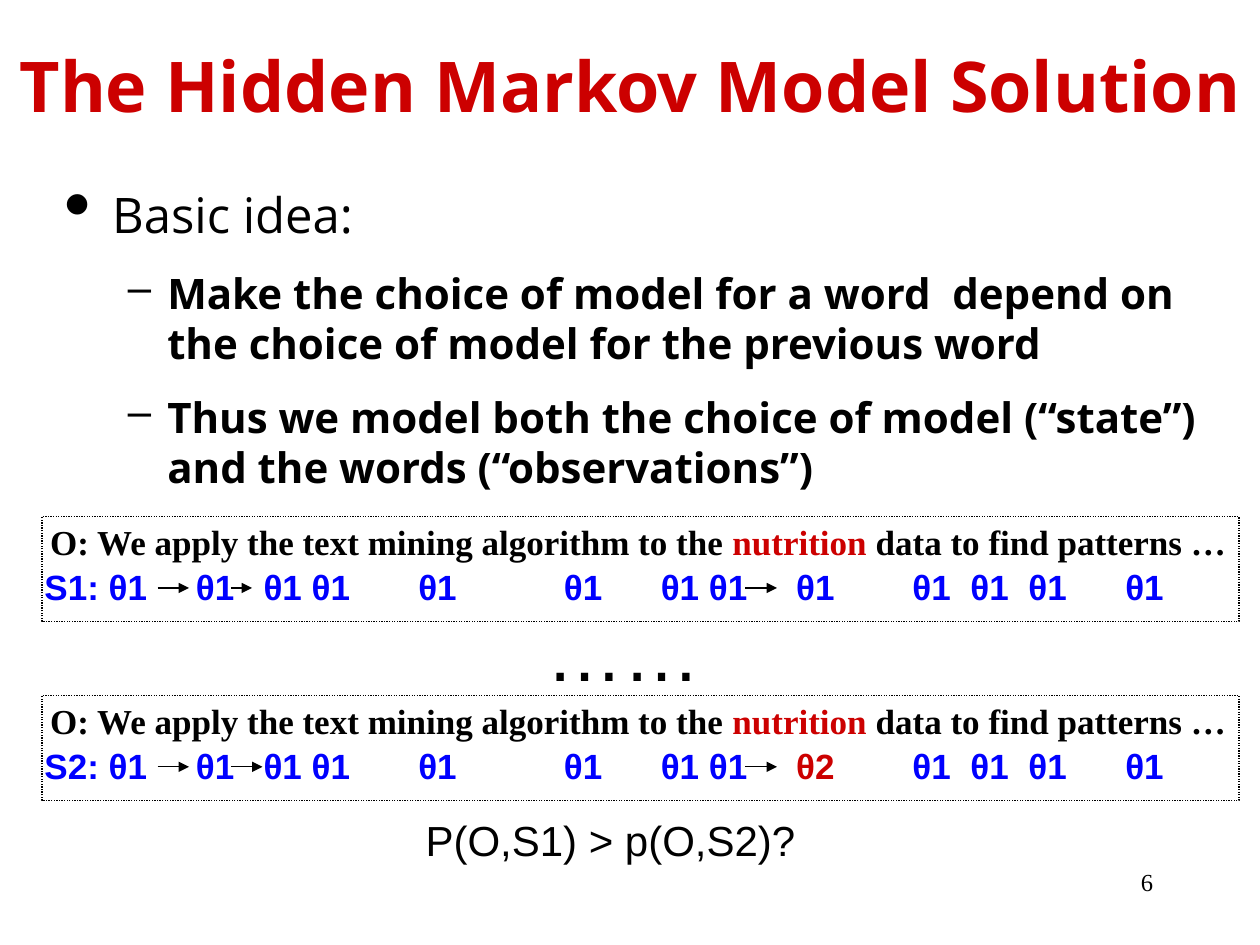
from dataclasses import dataclass
from itertools import accumulate

from lxml import etree
from pptx import Presentation
from pptx.dml.color import RGBColor
from pptx.enum.dml import MSO_LINE
from pptx.enum.shapes import MSO_CONNECTOR, MSO_SHAPE
from pptx.enum.text import MSO_ANCHOR, MSO_AUTO_SIZE, PP_ALIGN
from pptx.oxml.ns import qn
from pptx.util import Pt

LEFT, CENTER, RIGHT = PP_ALIGN.LEFT, PP_ALIGN.CENTER, PP_ALIGN.RIGHT
MIDDLE, NO_FIT = MSO_ANCHOR.MIDDLE, MSO_AUTO_SIZE.NONE
RECTANGLE, STRAIGHT = MSO_SHAPE.RECTANGLE, MSO_CONNECTOR.STRAIGHT
DOTTED = MSO_LINE.ROUND_DOT
TITLE_ONLY = 5


@dataclass(frozen=True)
class Theme:
    black: RGBColor = RGBColor(0, 0, 0)
    red: RGBColor = RGBColor(0xCC, 0, 0)
    blue: RGBColor = RGBColor(0, 0, 0xFF)
    heading: str = "Open Sans"
    serif: str = "Times New Roman"
    sans: str = "Arial"
    title: int = 40
    idea: int = 28
    point: int = 24
    sequence: int = 20
    dots: int = 44
    number: int = 14
    line: float = 0.75


@dataclass(frozen=True)
class Bullet:
    text: str
    size: int
    bold: bool
    level: int
    char: str
    char_size: int  # percent of the text size
    margin: float
    hanging: float
    before: float


@dataclass(frozen=True)
class Sequence:
    label: str
    top: float
    switched: dict  # word index -> state that differs
    arrows: tuple  # (start, end) of each arrow


T = Theme()
BULLETS = [
    Bullet("Basic idea:", T.idea, False, 0, "•", 160, 27, 27, 0),
    Bullet("Make the choice of model for a word  depend on the choice of model "
           "for the previous word", T.point, True, 1, "–", 100, 58.5, 22.5, 13.5),
    Bullet("Thus we model both the choice of model (“state”) and the words "
           "(“observations”)", T.point, True, 1, "–", 100, 58.5, 22.5, 13.5),
]
SEQUENCES = [
    Sequence("S1", 295.2, {}, ((90, 108), (132, 144), (426, 444))),
    Sequence("S2", 397.4, {8: "θ2"}, ((90, 108), (132, 150), (426, 444))),
]
# State columns: label width, state width and the gaps in space widths
LABEL_W, STATE_W, SPACE_W = 36.7, 22, 5.56
GAPS = (5, 3, 1, 7, 11, 6, 1, 5, 8, 2, 2, 6)
STOPS = list(accumulate((STATE_W + g * SPACE_W for g in GAPS), initial=LABEL_W))[1:]


def add_run(p, text: str, size: int, font: str, color, bold: bool = False) -> None:
    r = p.add_run()
    r.text = text
    f = r.font
    f.size, f.name, f.bold = Pt(size), font, bold
    f.color.rgb = color


def add_box(s, x: float, y: float, w: float, h: float, wrap: bool = True,
            align=LEFT):
    tf = s.shapes.add_textbox(Pt(x), Pt(y), Pt(w), Pt(h)).text_frame
    tf.word_wrap = wrap
    tf.paragraphs[0].alignment = align
    return tf


def add_bullet(p, b: Bullet) -> None:
    p.level = b.level
    p.space_before = Pt(b.before)
    pPr = p._p.get_or_add_pPr()
    pPr.set("marL", str(Pt(b.margin)))
    pPr.set("indent", str(-Pt(b.hanging)))
    etree.SubElement(pPr, qn("a:buSzPct")).set("val", str(b.char_size * 1000))
    etree.SubElement(pPr, qn("a:buChar")).set("char", b.char)
    add_run(p, b.text, b.size, T.heading, T.black, b.bold)


def add_tabs(p, stops: list[float]) -> None:
    tabs = etree.SubElement(p._p.get_or_add_pPr(), qn("a:tabLst"))
    for stop in stops:
        tab = etree.SubElement(tabs, qn("a:tab"))
        tab.set("pos", str(Pt(stop)))
        tab.set("algn", "l")


def add_arrow(s, x1: float, x2: float, y: float) -> None:
    arrow = s.shapes.add_connector(STRAIGHT, Pt(x1), Pt(y), Pt(x2), Pt(y))
    arrow.line.color.rgb = T.black
    arrow.line.width = Pt(T.line)
    etree.SubElement(arrow.line._get_or_add_ln(), qn("a:tailEnd")).set("type", "triangle")
    etree.SubElement(arrow._element.spPr, qn("a:effectLst"))


def add_sequence(s, q: Sequence) -> None:
    # Observed words
    p = add_box(s, 21.6, q.top - 1.4, 687.6, 31.5, wrap=False).paragraphs[0]
    for text, color in (("O: We apply the text mining algorithm to the", T.black),
                        (" nutrition", T.red),
                        (" data to find patterns …", T.black)):
        add_run(p, text, T.sequence, T.serif, color, True)

    # Hidden states, one tab stop each
    tf = add_box(s, 12, q.top + 24.2, 672, 34.5)
    tf.margin_left = Pt(13.4)
    p = tf.paragraphs[0]
    add_tabs(p, STOPS)
    add_run(p, f"{q.label}: θ1", T.sequence, T.sans, T.blue, True)
    for i in range(1, len(GAPS) + 1):
        color = T.red if i in q.switched else T.blue
        add_run(p, "\t" + q.switched.get(i, "θ1"), T.sequence, T.sans, color, True)

    # Dotted frame and transitions
    frame = s.shapes.add_shape(RECTANGLE, Pt(24), Pt(q.top), Pt(684), Pt(60))
    frame.shadow.inherit = False
    frame.fill.background()
    frame.line.color.rgb = T.black
    frame.line.width = Pt(T.line)
    frame.line.dash_style = DOTTED
    for x1, x2 in q.arrows:
        add_arrow(s, x1, x2, q.top + 40.8)


def main() -> None:
    prs = Presentation()
    prs.slide_width, prs.slide_height = Pt(720), Pt(540)
    s = prs.slides.add_slide(prs.slide_layouts[TITLE_ONLY])

    # Title
    title = s.shapes.title
    title.left, title.top, title.width, title.height = Pt(0), Pt(6), Pt(720), Pt(84)
    tf = title.text_frame
    tf.auto_size = NO_FIT
    tf.vertical_anchor = MIDDLE
    tf.paragraphs[0].alignment = CENTER
    add_run(tf.paragraphs[0], "The Hidden Markov Model Solution", T.title,
            T.heading, T.red, True)

    # Basic idea
    tf = add_box(s, 30, 102, 666, 354)
    for i, b in enumerate(BULLETS):
        add_bullet(tf.add_paragraph() if i else tf.paragraphs[0], b)

    # Two state sequences with an ellipsis between them
    for q in SEQUENCES:
        add_sequence(s, q)
    tf = add_box(s, 276.4, 342, 160, 60.5, wrap=False, align=CENTER)
    add_run(tf.paragraphs[0], "……", T.dots, T.sans, T.black)

    # Closing question and page number
    tf = add_box(s, 208.9, 462.2, 280, 36, wrap=False, align=CENTER)
    add_run(tf.paragraphs[0], "P(O,S1) > p(O,S2)?", T.point, T.sans, T.black)
    tf = add_box(s, 516, 492, 150, 36, align=RIGHT)
    add_run(tf.paragraphs[0], "6", T.number, T.serif, T.black)

    prs.save("out.pptx")


if __name__ == "__main__":
    main()
